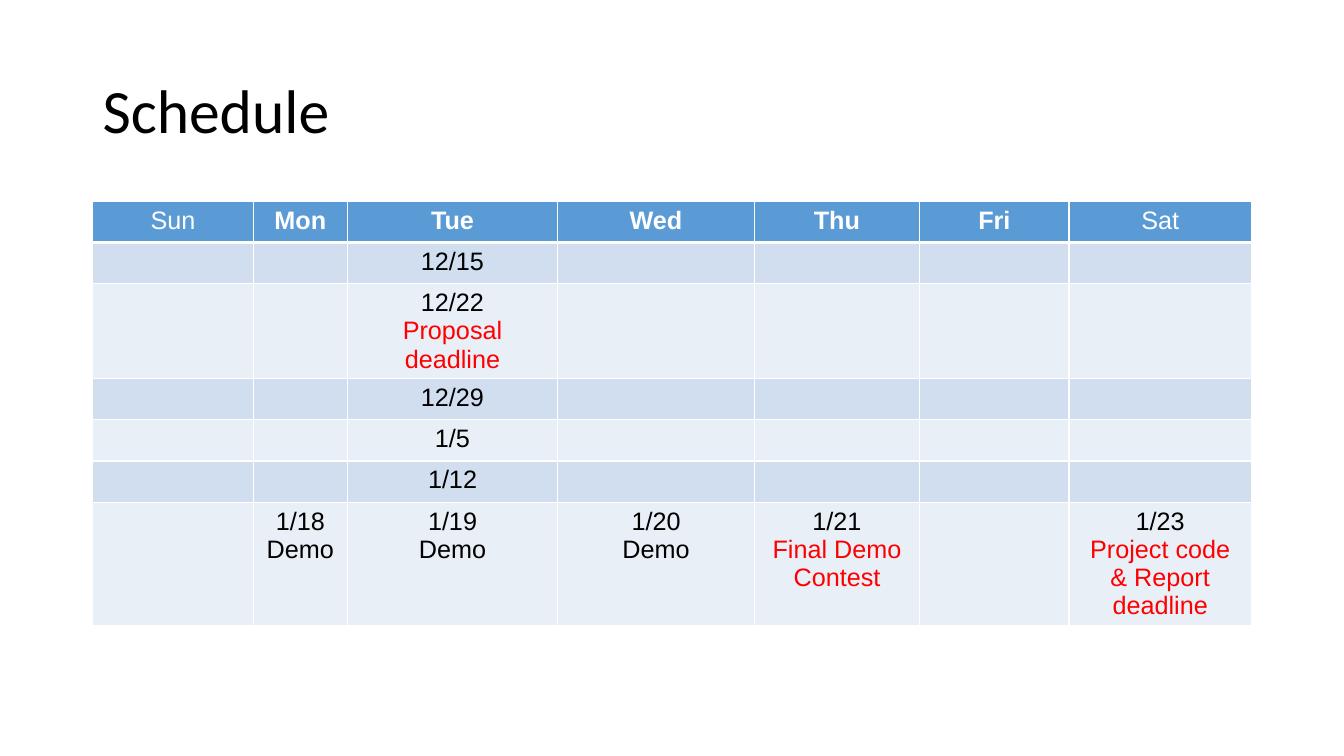
from dataclasses import dataclass

from lxml import etree
from pptx import Presentation
from pptx import util as u
from pptx.dml.color import RGBColor
from pptx.enum import text
from pptx.oxml import ns


@dataclass(frozen=True)
class Theme:
    title_font: str = "Calibri"
    table_font: str = "Arial"
    title_size: int = 44
    table_size: int = 18
    ink: str = "000000"
    deadline: str = "FF0000"
    white: str = "FFFFFF"
    header: str = "5B9BD5"
    bands: tuple = ("D0DEEF", "E9EFF7")
    thin_border: int = 1
    header_border: int = 3


THEME = Theme()

DAYS = ["Sun", "Mon", "Tue", "Wed", "Thu", "Fri", "Sat"]
WEEKEND = ("Sun", "Sat")
WEEKS = [
    {"Tue": ["12/15"]},
    {"Tue": ["12/22", "Proposal deadline"]},
    {"Tue": ["12/29"]},
    {"Tue": ["1/5"]},
    {"Tue": ["1/12"]},
    {
        "Mon": ["1/18 Demo"],
        "Tue": ["1/19", "Demo"],
        "Wed": ["1/20", "Demo"],
        "Thu": ["1/21", "Final Demo Contest"],
        "Sat": ["1/23", "Project code & Report deadline"],
    },
]
MILESTONES = {
    "Proposal deadline",
    "Final Demo Contest",
    "Project code & Report deadline",
}
COLUMN_WIDTHS = [4.06, 2.36, 5.31, 4.95, 4.17, 3.76, 4.6]
ROW_HEIGHTS = [1.03, 1.04, 2.38, 1.04, 1.04, 1.04, 3.11]


def style_font(font, name, size, color, bold=False):
    font.name = name
    font.size = u.Pt(size)
    font.bold = bold
    font.color.rgb = RGBColor.from_string(color)


def add_title(slide, left, top, width, height):
    title = slide.shapes.title
    title.left, title.top = u.Cm(left), u.Cm(top)
    title.width, title.height = u.Cm(width), u.Cm(height)
    frame = title.text_frame
    frame.text = "Schedule"
    frame.word_wrap = True
    frame.auto_size = text.MSO_AUTO_SIZE.NONE
    frame.vertical_anchor = text.MSO_ANCHOR.MIDDLE
    paragraph = frame.paragraphs[0]
    paragraph.alignment = text.PP_ALIGN.LEFT
    paragraph.line_spacing = 0.9
    style_font(paragraph.font, THEME.title_font, THEME.title_size, THEME.ink)


def set_borders(cell, top, bottom):
    properties = cell._tc.get_or_add_tcPr()
    thin = THEME.thin_border
    sides = {"a:lnL": thin, "a:lnR": thin, "a:lnT": top, "a:lnB": bottom}
    for position, (side, points) in enumerate(sides.items()):
        line = etree.Element(ns.qn(side), w=str(u.Pt(points)))
        fill = etree.SubElement(line, ns.qn("a:solidFill"))
        etree.SubElement(fill, ns.qn("a:srgbClr"), val=THEME.white)
        properties.insert(position, line)


def fill_cell(cell, lines, row, day):
    is_header = row == 0
    background = THEME.header if is_header else THEME.bands[(row - 1) % 2]
    cell.fill.solid()
    cell.fill.fore_color.rgb = RGBColor.from_string(background)
    set_borders(
        cell,
        THEME.header_border if row == 1 else THEME.thin_border,
        THEME.header_border if is_header else THEME.thin_border,
    )
    cell.text = "\n".join(lines)
    for paragraph in cell.text_frame.paragraphs:
        paragraph.alignment = text.PP_ALIGN.CENTER
        color = THEME.deadline if paragraph.text in MILESTONES else THEME.ink
        style_font(
            paragraph.font,
            THEME.table_font,
            THEME.table_size,
            THEME.white if is_header else color,
            is_header and day not in WEEKEND,
        )


def add_schedule(slide, left, top, width, height):
    weeks = [{day: [day] for day in DAYS}] + WEEKS
    table = slide.shapes.add_table(
        len(weeks), len(DAYS), u.Cm(left), u.Cm(top), u.Cm(width), u.Cm(height)
    ).table
    for column, share in zip(table.columns, COLUMN_WIDTHS):
        column.width = u.Cm(width * share / sum(COLUMN_WIDTHS))
    for row, share in zip(table.rows, ROW_HEIGHTS):
        row.height = u.Cm(height * share / sum(ROW_HEIGHTS))
    for row, week in enumerate(weeks):
        for column, day in enumerate(DAYS):
            fill_cell(table.cell(row, column), week.get(day, []), row, day)


def main():
    presentation = Presentation()
    presentation.slide_width = u.Cm(33.87)
    presentation.slide_height = u.Cm(19.05)
    slide = presentation.slides.add_slide(presentation.slide_layouts[5])
    add_title(slide, 2.33, 1.01, 29.21, 3.68)
    add_schedule(slide, 2.33, 5.08, sum(COLUMN_WIDTHS), sum(ROW_HEIGHTS))
    presentation.save("out.pptx")


if __name__ == "__main__":
    main()
